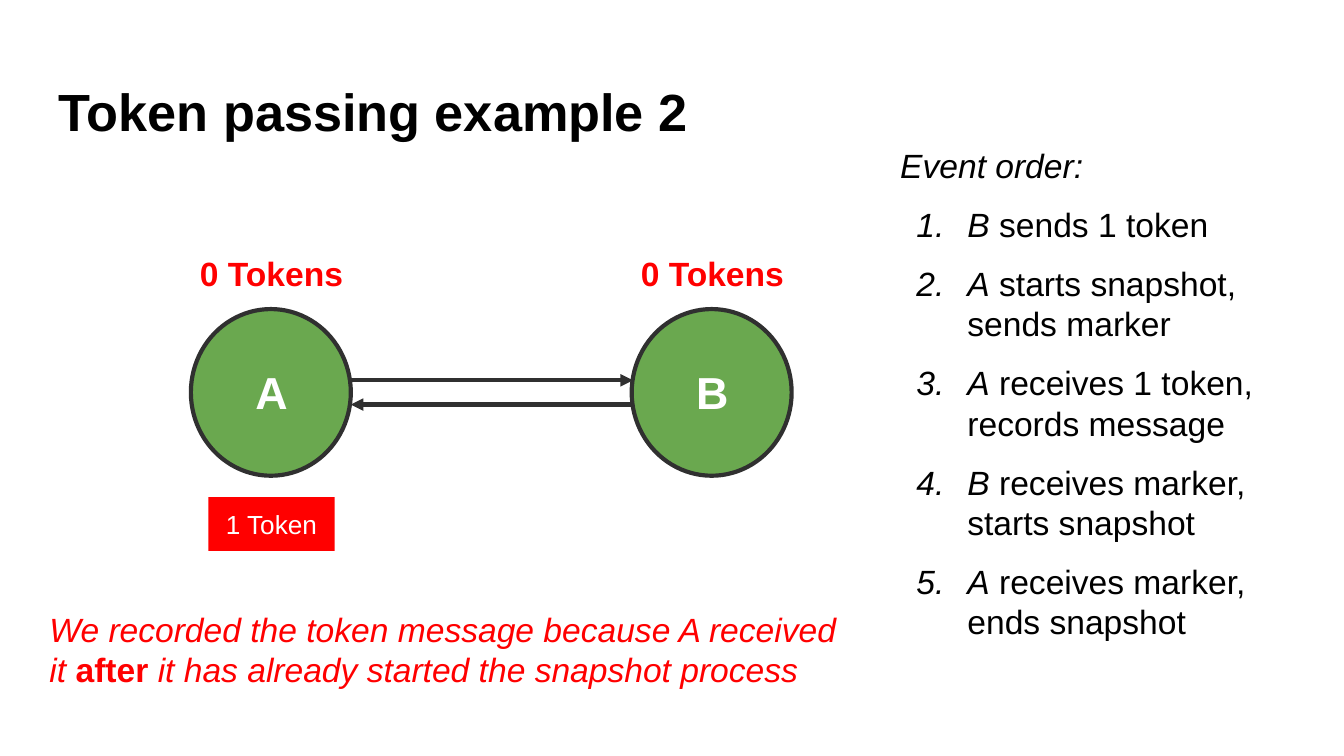
from lxml import etree
from pptx import Presentation
from pptx.dml.color import RGBColor
from pptx.enum.shapes import MSO_CONNECTOR as Connector, MSO_SHAPE as Shape
from pptx.enum.text import MSO_ANCHOR as Anchor, PP_ALIGN as Align
from pptx.oxml.ns import qn
from pptx.util import Inches, Pt

COLORS = {"black": "000000", "white": "FFFFFF", "red": "FF0000",
          "green": "6AA84F", "outline": "303030"}
FONT = "Arial"
NODE_W, NODE_H = 1.19, 1.24


def color(name):
    return RGBColor.from_string(COLORS[name])


def add_run(paragraph, text, size, ink, bold=False, italic=False):
    run = paragraph.add_run()
    run.text = text
    font = run.font
    font.name, font.size = FONT, Pt(size)
    font.bold, font.italic = bold, italic
    font.color.rgb = color(ink)


def set_frame(shape, anchor=Anchor.TOP):
    frame = shape.text_frame
    frame.word_wrap = True
    frame.vertical_anchor = anchor
    frame.margin_left = frame.margin_right = Inches(0.1)
    frame.margin_top = frame.margin_bottom = Inches(0.1)
    return frame


def add_text_box(slide, box, anchor=Anchor.TOP):
    return set_frame(slide.shapes.add_textbox(*map(Inches, box)), anchor)


def add_label(slide, box, text, size, ink, anchor=Anchor.TOP,
              align=Align.CENTER):
    paragraph = add_text_box(slide, box, anchor).paragraphs[0]
    paragraph.alignment = align
    add_run(paragraph, text, size, ink, bold=True)


def add_plain_shape(slide, kind, box, fill):
    shape = slide.shapes.add_shape(kind, *map(Inches, box))
    shape.shadow.inherit = False
    shape.fill.solid()
    shape.fill.fore_color.rgb = color(fill)
    return shape


def add_arrow(slide, start_x, end_x, y):
    arrow = slide.shapes.add_connector(
        Connector.STRAIGHT, *map(Inches, (start_x, y, end_x, y)))
    arrow.line.color.rgb = color("outline")
    arrow.line.width = Pt(2.25)
    etree.SubElement(arrow.line._get_or_add_ln(), qn("a:tailEnd"),
                     type="triangle")
    etree.SubElement(arrow._element.spPr, qn("a:effectLst"))


def add_node(slide, left, top, name, tokens):
    """Draw a process circle with its name and the token count above it."""
    circle = add_plain_shape(slide, Shape.OVAL, (left, top, NODE_W, NODE_H),
                             "green")
    circle.line.color.rgb = color("outline")
    circle.line.width = Pt(2.25)
    add_label(slide, (left + 0.13, top + 0.25, 0.94, 0.73), name, 24, "white",
              Anchor.MIDDLE)
    add_label(slide, (left - 0.36, top - 0.52, 1.92, 0.52), tokens, 18, "red")


def add_recorded_message(slide, box, text):
    badge = add_plain_shape(slide, Shape.RECTANGLE, box, "red")
    badge.line.fill.background()
    paragraph = set_frame(badge, Anchor.MIDDLE).paragraphs[0]
    paragraph.alignment = Align.CENTER
    add_run(paragraph, text, 14, "white")


def add_diagram(slide, left, top, width):
    """Two processes joined by one channel in each direction."""
    right_node = left + width - NODE_W
    channel_start, channel_end = left + NODE_W, right_node + 0.01
    add_arrow(slide, channel_end, channel_start, top + 0.71)
    add_arrow(slide, channel_start, channel_end, top + 0.53)
    add_node(slide, left, top, "A", "0 Tokens")
    add_node(slide, right_node, top, "B", "0 Tokens")
    add_recorded_message(slide, (left + 0.13, top + 1.4, 0.94, 0.4), "1 Token")


def number_paragraph(paragraph):
    properties = paragraph._p.get_or_add_pPr()
    properties.set("marL", str(Inches(0.5)))
    properties.set("indent", str(-Inches(0.38)))
    bullet_color = etree.SubElement(properties, qn("a:buClr"))
    etree.SubElement(bullet_color, qn("a:srgbClr"), val=COLORS["black"])
    etree.SubElement(properties, qn("a:buFont"), typeface=FONT)
    etree.SubElement(properties, qn("a:buAutoNum"), type="arabicPeriod")


def add_event_order(slide, box, heading, events):
    frame = add_text_box(slide, box)
    add_run(frame.paragraphs[0], heading, 18, "black", italic=True)
    for process, action in events:
        event = frame.add_paragraph()
        event.space_before = Pt(10)
        number_paragraph(event)
        add_run(event, process, 18, "black", italic=True)
        add_run(event, action, 18, "black")
    event.space_after = Pt(10)


def add_conclusion(slide, box, before, stressed, after):
    paragraph = add_text_box(slide, box).paragraphs[0]
    paragraph.space_after = Pt(10)
    add_run(paragraph, before, 18, "red", italic=True)
    add_run(paragraph, stressed, 18, "red", bold=True)
    add_run(paragraph, after, 18, "red", italic=True)


def main():
    deck = Presentation()
    deck.slide_width, deck.slide_height = Inches(10), Inches(5.625)
    slide = deck.slides.add_slide(deck.slide_layouts[6])

    # Diagram and title
    add_diagram(slide, 1.42, 2.3, 4.47)
    add_label(slide, (0.34, 0.49, 9.32, 0.63), "Token passing example 2",
              28, "black", align=Align.LEFT)

    # Numbered events
    add_event_order(slide, (6.6, 0.98, 3.06, 3.67), "Event order:", [
        ("B", " sends 1 token"),
        ("A", " starts snapshot, sends marker"),
        ("A", " receives 1 token, records message"),
        ("B", " receives marker, starts snapshot"),
        ("A", " receives marker, ends snapshot"),
    ])

    # Conclusion
    add_conclusion(slide, (0.27, 4.43, 6.13, 0.89),
                   "We recorded the token message because A received it ",
                   "after ", "it has already started the snapshot process")

    deck.save("out.pptx")


if __name__ == "__main__":
    main()
